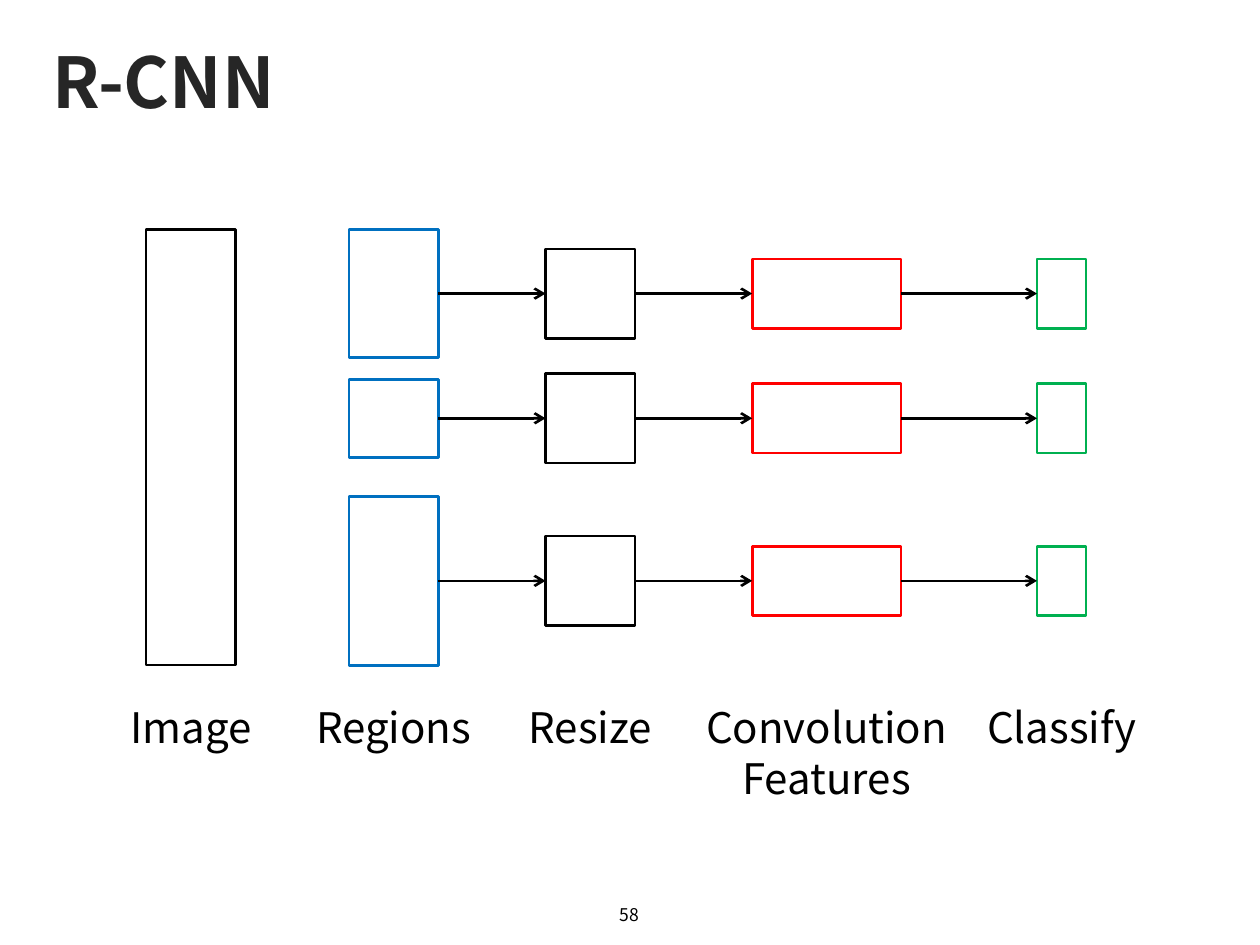
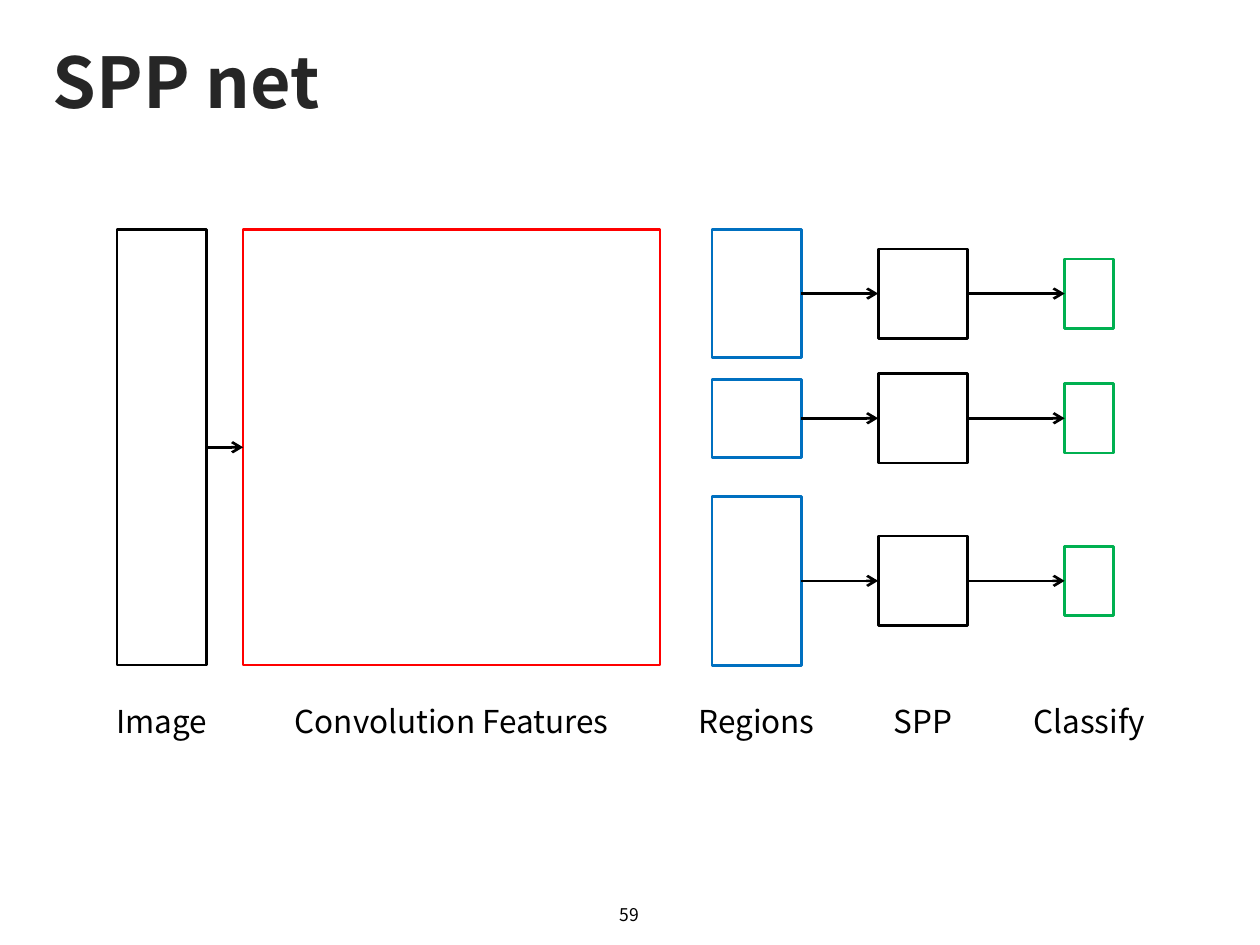
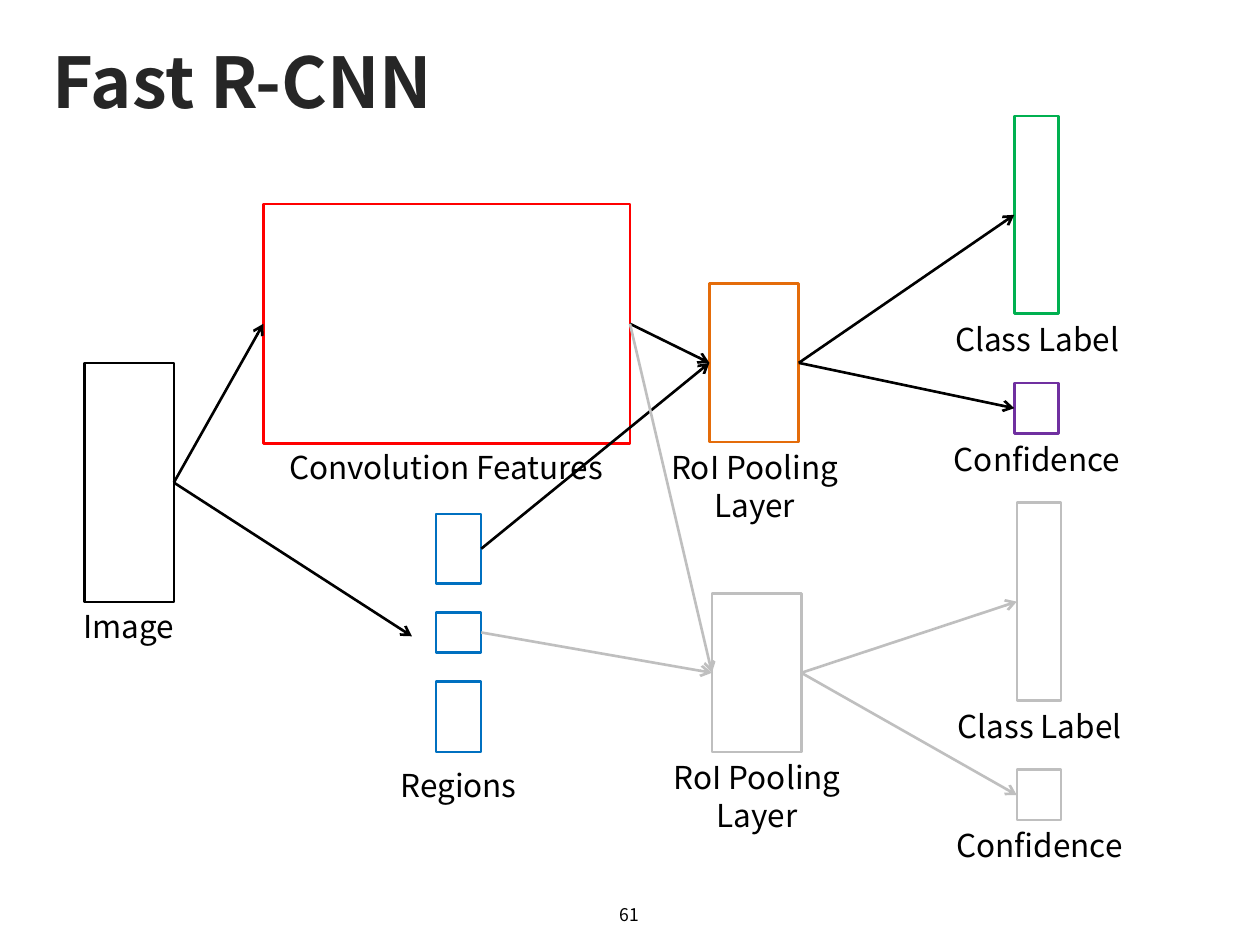
from dataclasses import dataclass

from pptx import Presentation
from pptx.dml.color import RGBColor
from pptx.enum.shapes import MSO_CONNECTOR, MSO_SHAPE
from pptx.enum.text import MSO_ANCHOR, MSO_AUTO_SIZE, PP_ALIGN
from pptx.oxml.ns import qn
from pptx.util import Inches, Pt


@dataclass(frozen=True)
class Theme:
    font: str = "Noto Sans CJK KR"
    ink: str = "000000"
    title: str = "262626"
    region: str = "0070C0"
    features: str = "FF0000"
    pooling: str = "E46C0A"
    classes: str = "00B050"
    confidence: str = "7030A0"
    faded: str = "BFBFBF"
    title_size: int = 40
    large_size: int = 24
    label_size: int = 18
    page_size: int = 10
    line_width: float = 1.5


THEME = Theme()
TOP, LEFT, BOTTOM, RIGHT = 0, 1, 2, 3

# Pipeline content: a stage has one tall box or one box per region row
ROW_CENTERS = (2.33, 3.32, 4.61)
TALL_CENTER = 3.55
TALL = (3.46,)
REGION_HEIGHTS = (1.02, 0.62, 1.34)
SQUARES = (0.71,) * 3
SMALL = (0.55,) * 3
STAGE_LABEL_TOP = 5.52

# label, label width, label lines, colour, left, width, box heights
PIPELINES = [
    ("R-CNN", 58, THEME.large_size, [
        ("Image", 1.39, 1, THEME.ink, 1.16, 0.71, TALL),
        ("Regions", 1.7, 1, THEME.region, 2.77, 0.71, REGION_HEIGHTS),
        ("Resize", 1.38, 1, THEME.ink, 4.33, 0.71, SQUARES),
        ("Convolution Features", 2.44, 2, THEME.features, 5.97, 1.18, SMALL),
        ("Classify", 1.38, 1, THEME.classes, 8.23, 0.39, SMALL),
    ]),
    ("SPP net", 59, THEME.label_size, [
        ("Image", 1.39, 1, THEME.ink, 0.93, 0.71, TALL),
        ("Convolution Features", 2.83, 1, THEME.features, 1.93, 3.31, TALL),
        ("Regions", 1.7, 1, THEME.region, 5.65, 0.71, REGION_HEIGHTS),
        ("SPP", 1.34, 1, THEME.ink, 6.97, 0.71, SQUARES),
        ("Classify", 1.38, 1, THEME.classes, 8.45, 0.39, SMALL),
    ]),
]

# Fast R-CNN content
REGION_BOXES = [(4.08, 0.55), (4.86, 0.32), (5.41, 0.56)]  # top, height
REGIONS_POINT = (3.27, 5.05)
# left, pooling top, outputs top, colours of arrows, pooling, classes, confidence
BRANCHES = [
    (5.63, 2.25, 0.92,
     (THEME.ink, THEME.pooling, THEME.classes, THEME.confidence)),
    (5.65, 4.71, 3.99, (THEME.faded,) * 4),
]
# label, offset from the outputs top, height
OUTPUTS = [("Class Label", 0, 1.57), ("Confidence", 2.12, 0.4)]
OUTPUT_OFFSET = 2.42


# Shared parts
def format_text(frame, text, size, color=THEME.ink, bold=False,
                align=PP_ALIGN.CENTER, anchor=MSO_ANCHOR.TOP):
    frame.text = text
    frame.word_wrap = True
    frame.vertical_anchor = anchor
    paragraph = frame.paragraphs[0]
    paragraph.alignment = align
    font = paragraph.runs[0].font
    font.name, font.size, font.bold = THEME.font, Pt(size), bold
    font.color.rgb = RGBColor.from_string(color)


def add_slide(deck, title, page):
    slide = deck.slides.add_slide(deck.slide_layouts[5])
    heading = slide.shapes.title
    heading.left, heading.top = Inches(0.32), Inches(0.28)
    heading.width, heading.height = Inches(9.38), Inches(0.72)
    format_text(heading.text_frame, title, THEME.title_size, THEME.title,
                True, PP_ALIGN.LEFT, MSO_ANCHOR.MIDDLE)
    heading.text_frame.auto_size = MSO_AUTO_SIZE.NONE
    footer = slide.shapes.add_textbox(
        Inches(3.83), Inches(7.06), Inches(2.33), Inches(0.4))
    format_text(footer.text_frame, str(page), THEME.page_size,
                anchor=MSO_ANCHOR.MIDDLE)
    return slide


def add_box(slide, left, top, width, height, color):
    box = slide.shapes.add_shape(
        MSO_SHAPE.RECTANGLE, Inches(left), Inches(top),
        Inches(width), Inches(height))
    box.shadow.inherit = False
    box.fill.background()
    box.line.color.rgb = RGBColor.from_string(color)
    box.line.width = Pt(THEME.line_width)
    return box


def add_label(slide, text, center, top, width, size=THEME.label_size, lines=1):
    height = 0.1 + lines * size / 60
    label = slide.shapes.add_textbox(
        Inches(center - width / 2), Inches(top), Inches(width), Inches(height))
    format_text(label.text_frame, text, size)
    label.text_frame.auto_size = MSO_AUTO_SIZE.SHAPE_TO_FIT_TEXT


def add_arrow(slide, source, target, color=THEME.ink):
    """Join right side to left side; target is a box or a point in inches."""
    is_point = isinstance(target, tuple)
    end = [Inches(v) for v in target] if is_point else (target.left, target.top)
    arrow = slide.shapes.add_connector(
        MSO_CONNECTOR.STRAIGHT, source.left, source.top, *end)
    arrow.begin_connect(source, RIGHT)
    if not is_point:
        arrow.end_connect(target, LEFT)
    arrow.line.color.rgb = RGBColor.from_string(color)
    arrow.line.width = Pt(THEME.line_width)
    properties = arrow._element.spPr
    tip = properties.find(qn("a:ln")).makeelement(
        qn("a:tailEnd"), {"type": "arrow"})
    properties.find(qn("a:ln")).append(tip)
    properties.append(properties.makeelement(qn("a:effectLst"), {}))


# Slides
def build_pipeline(deck, title, page, size, stages):
    slide = add_slide(deck, title, page)
    previous = []
    for label, label_width, lines, color, left, width, heights in stages:
        centers = ROW_CENTERS if len(heights) > 1 else (TALL_CENTER,)
        boxes = [add_box(slide, left, center - height / 2, width, height, color)
                 for center, height in zip(centers, heights)]
        add_label(slide, label, left + width / 2, STAGE_LABEL_TOP,
                  label_width, size, lines)
        if len(previous) == len(boxes):
            for source, target in zip(previous, boxes):
                add_arrow(slide, source, target)
        previous = boxes


def build_fast_rcnn(deck):
    slide = add_slide(deck, "Fast R-CNN", 61)

    # Image, features and regions
    image = add_box(slide, 0.67, 2.88, 0.71, 1.9, THEME.ink)
    add_label(slide, "Image", 1.02, 4.77, 0.94)
    features = add_box(slide, 2.09, 1.62, 2.91, 1.9, THEME.features)
    add_label(slide, "Convolution Features", 3.54, 3.51, 2.91)
    regions = [add_box(slide, 3.46, top, 0.36, height, THEME.region)
               for top, height in REGION_BOXES]
    add_label(slide, "Regions", 3.64, 6.03, 1.54)
    add_arrow(slide, image, features)
    add_arrow(slide, image, REGIONS_POINT)

    # One pooling branch per region, the second one faded
    for region, (left, pool_top, outputs_top, colors) in zip(regions, BRANCHES):
        arrow_color, pool_color, *output_colors = colors
        pooling = add_box(slide, left, pool_top, 0.71, 1.26, pool_color)
        add_label(slide, "RoI Pooling Layer", left + 0.36, pool_top + 1.26,
                  1.54, lines=2)
        for (label, offset, height), color in zip(OUTPUTS, output_colors):
            top = outputs_top + offset
            output_left = left + OUTPUT_OFFSET
            output = add_box(slide, output_left, top, 0.35, height, color)
            add_label(slide, label, output_left + 0.18, top + height, 1.89)
            add_arrow(slide, pooling, output, arrow_color)
        for source in (region, features):
            add_arrow(slide, source, pooling, arrow_color)


def main():
    deck = Presentation()
    deck.slide_width, deck.slide_height = Inches(10), Inches(7.5)
    for pipeline in PIPELINES:
        build_pipeline(deck, *pipeline)
    build_fast_rcnn(deck)
    deck.save("out.pptx")


if __name__ == "__main__":
    main()
